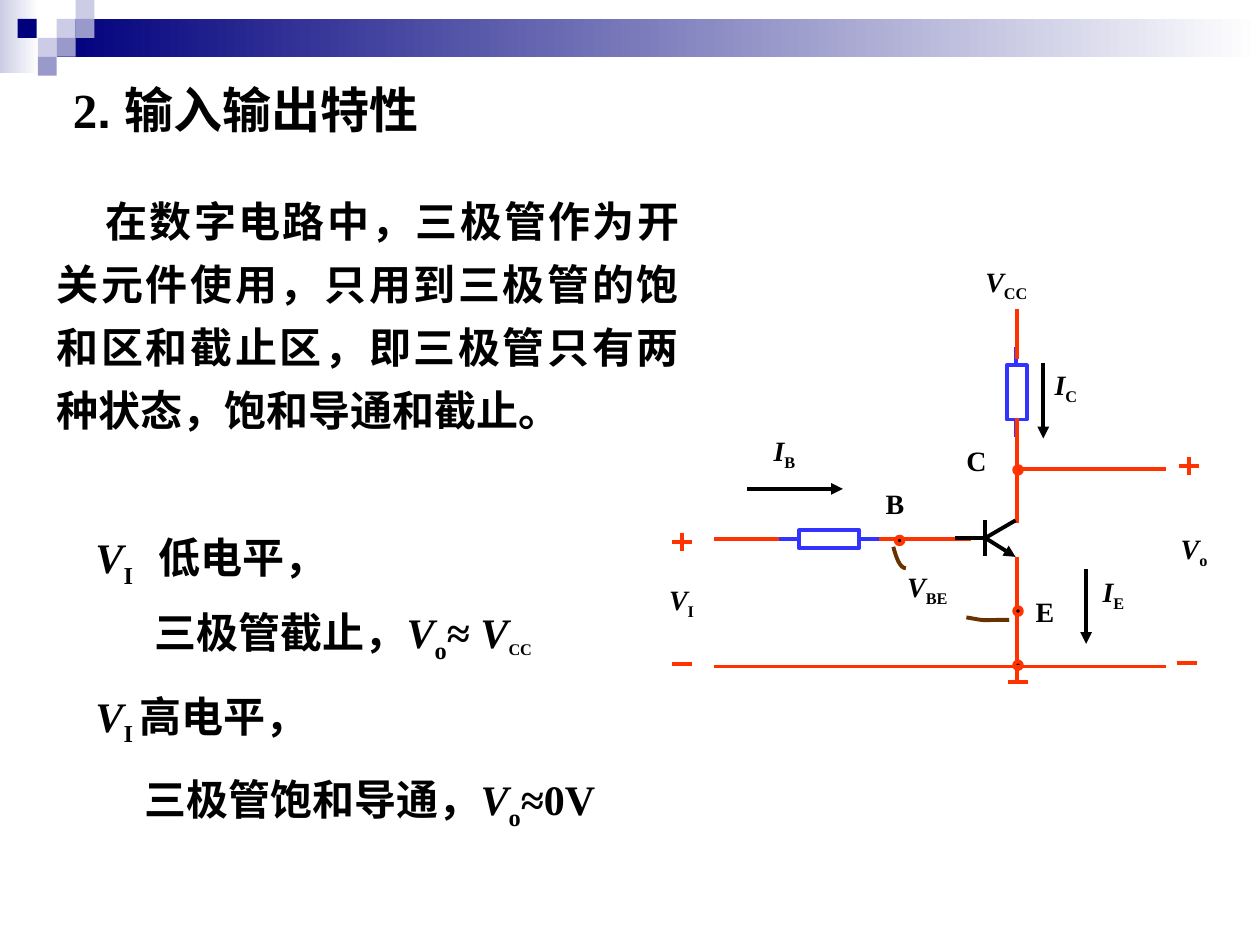
"""Build the slide on transistor input and output characteristics with its switching circuit."""
from lxml import etree
from pptx import Presentation
from pptx.dml.color import RGBColor
from pptx.enum.shapes import MSO_CONNECTOR, MSO_SHAPE
from pptx.enum.text import PP_ALIGN
from pptx.oxml.ns import qn
from pptx.util import Inches, Pt

RECT, OVAL = MSO_SHAPE.RECTANGLE, MSO_SHAPE.OVAL
STRAIGHT = MSO_CONNECTOR.STRAIGHT
JUSTIFY = PP_ALIGN.JUSTIFY
THEME = {
    "navy": "00007D", "lilac": "9999CC", "pale": "CCCCE6", "white": "FFFFFF",
    "ink": "000000", "wire": "FF3300", "part": "3333FF", "curve": "663300",
    "title": 28, "body": 24, "label": 16, "stroke": 2.25,
    "serif": "Times New Roman", "sans": "Arial", "cjk": "Noto Sans CJK SC",
}
COLOR = {k: RGBColor.from_string(v) for k, v in THEME.items()
         if isinstance(v, str) and len(v) == 6}

prs = Presentation()
prs.slide_width, prs.slide_height = Inches(10), Inches(7.5)
CELL = prs.slide_width / 100
s = prs.slides.add_slide(prs.slide_layouts[6])


def line(color, x1, y1, x2, y2, arrow=False):
    c = s.shapes.add_connector(STRAIGHT, *(round(v * CELL) for v in (x1, y1, x2, y2)))
    c.line.color.rgb = COLOR[color]
    c.line.width = Pt(THEME["stroke"])
    if arrow:
        etree.SubElement(c.line._get_or_add_ln(), qn("a:tailEnd"), type="triangle")
    etree.SubElement(c._element.spPr, qn("a:effectLst"))


def write(p, runs, size, font="serif"):
    p.alignment = JUSTIFY
    for text, style in runs:
        r = p.add_run()
        r.text = text
        r.font.size = Pt(THEME["label" if style == "small" else size])
        r.font.bold = True
        r.font.italic = style == "italic"
        r.font.color.rgb = COLOR["ink"]
        r.font.name = THEME[font]
        rpr = r._r.get_or_add_rPr()
        etree.SubElement(rpr, qn("a:ea"), typeface=THEME["cjk"])
        if style in ("sub", "small"):
            rpr.set("baseline", "-25000")


for x, y, w, h, start in [(0, 0, 3.1, 5.8, "pale"), (4.5, 1.5, 95.5, 3, "navy")]:
    sp = s.shapes.add_shape(RECT, *(round(v * CELL) for v in (x, y, w, h)))
    sp.shadow.inherit = False
    sp.line.fill.background()
    sp.fill.gradient()
    sp.fill.gradient_angle = 0
    for stop, name, place in zip(sp.fill.gradient_stops, (start, "white"), (0, 1)):
        stop.color.rgb = COLOR[name]
        stop.position = place

for wire in [(56.7, 42.8, 64.4, 42.8), (69.5, 42.8, 77.1, 42.8),
             (80.7, 41.5, 80.7, 37.6), (80.7, 44.2, 80.7, 54.1)]:
    line("wire", *wire)
for lead in [(63.4, 42.8, 61.8, 42.8), (68.2, 42.8, 69.8, 42.8),
             (80.65, 33.3, 80.65, 34.7), (80.65, 29, 80.65, 27.5)]:
    line("part", *lead)
for x, y, arrow in [(80.6, 41.3, False), (80.6, 44.2, True), (75.8, 42.7, False)]:
    line("ink", 78.2, 42.7, x, y, arrow)
line("ink", 78.2, 41.3, 78.2, 44.1)

squares = [(4.5, 1.5, "pale"), (6, 0, "pale"), (6, 1.5, "lilac"), (3, 3, "pale"),
           (1.4, 1.5, "navy"), (4.5, 3, "lilac"), (3, 4.5, "lilac")]
nodes = [(80.5, 52.5), (80.5, 37), (71.1, 42.6), (80.5, 48.2)]
blocks = [(RECT, x, y, 1.5, 1.5, fill, None) for x, y, fill in squares]
blocks += [(RECT, 63.4, 42.1, 4.8, 1.4, "white", "part"),
           (RECT, 79.9, 29, 1.6, 4.3, "white", "part")]
blocks += [(OVAL, x, y, 0.6, 0.6, "ink", "wire") for x, y in nodes]
for kind, x, y, w, h, fill, edge in blocks:
    sp = s.shapes.add_shape(kind, *(round(v * CELL) for v in (x, y, w, h)))
    sp.shadow.inherit = False
    sp.fill.solid()
    sp.fill.fore_color.rgb = COLOR[fill]
    if edge:
        sp.line.color.rgb = COLOR[edge]
        sp.line.width = Pt(THEME["stroke"])
    else:
        sp.line.fill.background()

labels = [
    (78.2, 21, 5.1, "V", "CC"), (53.1, 46.2, 5.1, "V", "I"), (93.7, 42.2, 5.1, "V", "o"),
    (61.4, 34.4, 7.6, "I", "B"), (83.7, 29.2, 2.8, "I", "C"), (72, 45.2, 7.6, "V", "BE"),
    (87.5, 45.6, 5.1, "I", "E"), (70.3, 38.6, 2.6, "B", ""), (82.2, 47.2, 2.6, "E", ""),
    (76.7, 35.2, 2.5, "C", ""),
]
for x, y, w, name, sub in labels:
    sp = s.shapes.add_textbox(*(round(v * CELL) for v in (x, y, w, 3.9 if sub else 3.8)))
    tf = sp.text_frame
    tf.word_wrap = True
    tf.margin_left = tf.margin_right = tf.margin_top = tf.margin_bottom = 0
    runs = [(name, "italic"), (sub, "sub")] if sub else [(name, "")]
    write(tf.paragraphs[0], runs, "label")

curves = [[(70.9, 43.4), (71, 43.7), (71.3, 45.1), (71.9, 45.1)],
          [(76.7, 49), (78.5, 49.3), (77.4, 49.2), (80.1, 49.2)]]
for ctrl in curves:
    points = []
    for t in (i / 16 for i in range(17)):
        weights = ((1 - t) ** 3, 3 * t * (1 - t) ** 2, 3 * t ** 2 * (1 - t), t ** 3)
        points.append(tuple(round(CELL * sum(k * c[axis] for k, c in zip(weights, ctrl)))
                            for axis in (0, 1)))
    builder = s.shapes.build_freeform(*points[0])
    builder.add_line_segments(points[1:], close=False)
    sp = builder.convert_to_shape()
    sp.shadow.inherit = False
    sp.fill.background()
    sp.line.color.rgb = COLOR["curve"]
    sp.line.width = Pt(THEME["stroke"])

for x, y in [(54.1, 43), (54.1, 52.7), (94.4, 37), (94.2, 52.6)]:
    line("wire", x - 0.8, y, x + 0.8, y)
    if y < 50:
        line("wire", x, y - 0.7, x, y + 0.7)
for wire in [(80.7, 41.2, 80.7, 33.2), (80.7, 28.5, 80.7, 24.5), (80, 54.1, 81.6, 54.1),
             (80.8, 37.2, 92.5, 37.2), (56.7, 52.9, 92.5, 52.9)]:
    line("wire", *wire)
for arrow in [(82.8, 28.8, 82.8, 34.8), (59.3, 38.8, 66.9, 38.8), (86.2, 45.2, 86.2, 51.1)]:
    line("ink", *arrow, arrow=True)

frames = []
for x, y, w, h in [(4.8, 5.8, 41.3, 5.7), (3.5, 14, 51.4, 21), (6.6, 41.7, 44.6, 24.8)]:
    tf = s.shapes.add_textbox(*(round(v * CELL) for v in (x, y, w, h))).text_frame
    tf.word_wrap = True
    frames.append(tf)
title, body, cases = frames

p = title.paragraphs[0]
write(p, [("2", "")], "title")
write(p, [(". 输入输出特性", "")], "title", "sans")

p = body.paragraphs[0]
p.line_spacing = 1.25
p._p.get_or_add_pPr().set("indent", str(round(3.9 * CELL)))
write(p, [("在数字电路中，三极管作为开关元件使用，只用到三极管的饱和区和截止区，"
           "即三极管只有两种状态，饱和导通和截止。", "")], "body", "cjk")

case_lines = [
    (0, 0, [("V", "italic"), ("I\t", "sub"), ("低电平，", "")]),
    (10, 4.7, [("三极管截止，", ""), ("V", "italic"), ("o", "sub"), ("≈ ", ""),
               ("V", "italic"), ("CC", "small")]),
    (15, 0, [("V", "italic"), ("I ", "sub"), ("高电平，", "")]),
    (15, 3.9, [("三极管饱和导通，", ""), ("V", "italic"), ("o", "sub"), ("≈0V", "")]),
]
for i, (before, indent, runs) in enumerate(case_lines):
    p = cases.add_paragraph() if i else cases.paragraphs[0]
    p.space_before = Pt(before)
    ppr = p._p.get_or_add_pPr()
    ppr.set("indent", str(round(indent * CELL)))
    if i == 0:
        tabs = etree.SubElement(ppr, qn("a:tabLst"))
        etree.SubElement(tabs, qn("a:tab"), pos=str(round(5.5 * CELL)), algn="l")
    write(p, runs, "body")

prs.save("out.pptx")
